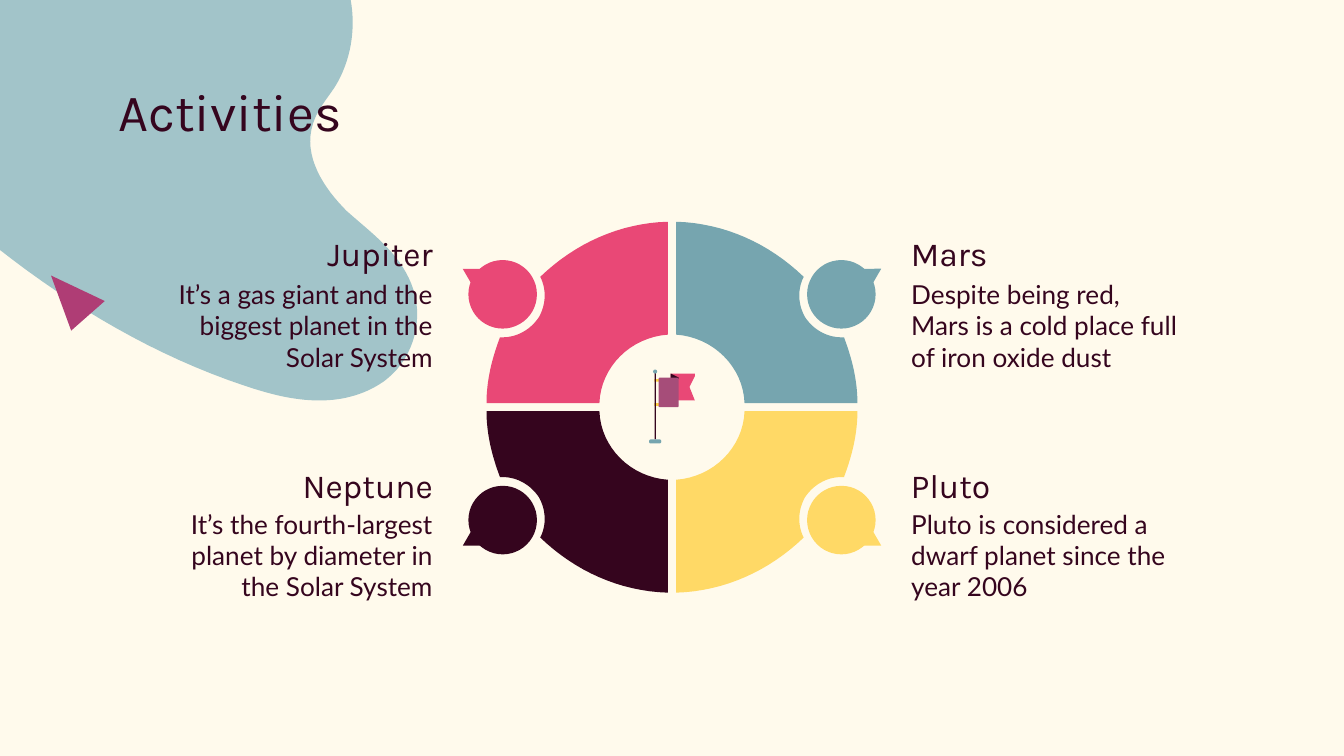
from lxml.etree import SubElement
from pptx import Presentation
from pptx.dml.color import RGBColor
from pptx.enum.shapes import MSO_SHAPE as Form
from pptx.enum.text import MSO_ANCHOR as Anchor, MSO_AUTO_SIZE as Fit, PP_ALIGN as Align
from pptx.oxml.ns import qn
from pptx.util import Inches, Pt

PLUM, PINK, TEAL, YELLOW = "35051E", "E94876", "76A5AF", "FFD966"
rgb = RGBColor.from_string

# Slide in 16:9
deck = Presentation()
deck.slide_width, deck.slide_height = Inches(10), Inches(10) * 9 // 16
slide = deck.slides.add_slide(deck.slide_layouts.get_by_name("Comparison"))
shapes = slide.shapes
slide.background.fill.solid()
slide.background.fill.fore_color.rgb = rgb("FFFAEC")


def draw(form, color, box=None, angle=0, bend=None):
    """Draw a preset in a box, or an outline: pairs are lines, sixes are Bézier curves."""
    if box:
        shape = shapes.add_shape(form, *[Inches(v) for v in box])
        shape.rotation = angle
        if bend is not None:
            shape.adjustments[0] = bend
    else:
        pts = [form[0]]
        for step in form[1:]:
            if len(step) == 2:
                pts.append(step)
                continue
            ends = [pts[-1], step[:2], step[2:4], step[4:]]
            for i in range(1, 17):
                t = i / 16
                w = (1 - t) ** 3, 3 * t * (1 - t) ** 2, 3 * t * t * (1 - t), t ** 3
                pts.append(tuple(sum(k * e[a] for k, e in zip(w, ends)) for a in (0, 1)))
        pts = [(Inches(x), Inches(y)) for x, y in pts]
        pen = shapes.build_freeform(*pts[0])
        pen.add_line_segments(pts[1:], close=True)
        shape = pen.convert_to_shape()
    shape.shadow.inherit = False
    shape.fill.solid()
    shape.fill.fore_color.rgb = rgb(color)
    shape.line.fill.background()


def write(text, box, at, size, font="Karla", align=Align.LEFT, anchor=Anchor.TOP, after=0):
    """Place and fill a text box or placeholder, and bring it to the front."""
    box.left, box.top, box.width, box.height = [Inches(v) for v in at]
    shapes.element.append(box.element)
    frame = box.text_frame
    frame.text = text
    frame.word_wrap, frame.auto_size, frame.vertical_anchor = True, Fit.NONE, anchor
    frame.margin_left = frame.margin_right = Inches(0.1)
    frame.margin_top = frame.margin_bottom = Inches(0.1)
    para = frame.paragraphs[0]
    para.alignment = align
    para.space_before, para.space_after = Pt(0), Pt(after)
    props = para._p.get_or_add_pPr()
    props.set("marL", "0")
    props.set("indent", "0")
    SubElement(props, qn("a:buNone"))
    face = para.runs[0].font
    face.name, face.size, face.bold = font, Pt(size), False
    face.color.rgb = rgb(PLUM)


# Backdrop: blob and small arrow
draw([(2.61, 0), (2.65, 0.22, 2.61, 0.46, 2.49, 0.65), (2.43, 0.74, 2.36, 0.82, 2.33, 0.92),
      (2.25, 1.16, 2.41, 1.4, 2.58, 1.57), (2.76, 1.73, 2.97, 1.88, 3.06, 2.11),
      (3.16, 2.35, 3.09, 2.65, 2.88, 2.82), (2.74, 2.93, 2.56, 2.98, 2.38, 2.98),
      (2.18, 2.98, 2, 2.93, 1.82, 2.87), (1.16, 2.65, 0.55, 2.29, 0, 1.86), (0, 0)], "A2C4C9")
draw([(0.38, 2.05), (0.53, 2.46), (0.78, 2.24)], "AF3D75")

# Title
write("Activities", shapes.title, (0.78, 0.49, 7.42, 0.63), 28)

# Ring: one quarter, mirrored about the centre, each with knob, pointer and text
MIDX, MIDY, KNOB = 5, 3.03, 0.51
quarter = [(0.03, 1.38), (0.03, 0.54), (0.31, 0.52, 0.53, 0.3, 0.54, 0.03), (1.38, 0.03),
           (1.38, 0.2, 1.34, 0.36, 1.28, 0.52), (1.26, 0.52),
           (1.15, 0.52, 1.05, 0.58, 0.99, 0.67), (0.94, 0.76, 0.93, 0.87, 0.98, 0.97),
           (0.72, 1.22, 0.39, 1.37, 0.03, 1.38)]
planets = [
    ("Jupiter", "It’s a gas giant and the biggest planet in the Solar System", PINK, -1, -1),
    ("Mars", "Despite being red, Mars is a cold place full of iron oxide dust", TEAL, 1, -1),
    ("Neptune", "It’s the fourth-largest planet by diameter in the Solar System", PLUM, -1, 1),
    ("Pluto", "Pluto is considered a dwarf planet since the year 2006", YELLOW, 1, 1),
]
for spot, (name, note, color, sx, sy) in enumerate(planets, 1):
    mid, sign = (MIDX, MIDY) * 3, (sx, sy) * 3
    draw([tuple(m + s * v for m, s, v in zip(mid, sign, step)) for step in quarter], color)
    draw(Form.OVAL, color,
         (MIDX + sx * 1.26 - KNOB / 2, MIDY + sy * 0.84 - KNOB / 2, KNOB, KNOB))
    draw(Form.ISOSCELES_TRIANGLE, color,
         (MIDX + sx * 1.47 - 0.23 / 2, MIDY + sy * 0.98 - 0.1, 0.23, 0.2),
         angle=sx * (90 + 30 * sy) % 360)
    left = sx < 0
    side = Align.RIGHT if left else Align.LEFT
    head, body = (1.64, 1.97) if sy < 0 else (3.37, 3.68)
    write(name, shapes.add_textbox(0, 0, 0, 0), (1.02 if left else 6.68, head, 2.3, 0.49), 18,
          align=side, anchor=Anchor.BOTTOM)
    write(note, slide.placeholders[spot], (1.13 if left else 6.68, body, 2.19, 0.86), 14,
          font="Lato", align=side, after=16)

# Flag in the middle
draw([(4.99, 2.78), (5.17, 2.78), (5.17, 2.8), (5.13, 2.88), (5.17, 2.98), (4.99, 2.98)], PINK)
draw([(4.99, 2.78), (5.05, 2.81), (5.05, 2.82), (4.99, 2.82)], PLUM)
for top in (2.82, 3):
    draw(Form.RECTANGLE, "FFD043", (4.87, top, 0.04, 0.02))
draw(Form.ROUNDED_RECTANGLE, "A64D79", (4.9, 2.81, 0.15, 0.22), bend=0.07)
draw(Form.RECTANGLE, PLUM, (4.87, 2.77, 0.01, 0.5))
draw(Form.ROUNDED_RECTANGLE, TEAL, (4.83, 3.27, 0.09, 0.03), bend=0.4)
draw(Form.OVAL, TEAL, (4.86, 2.75, 0.03, 0.03))

deck.save("out.pptx")
